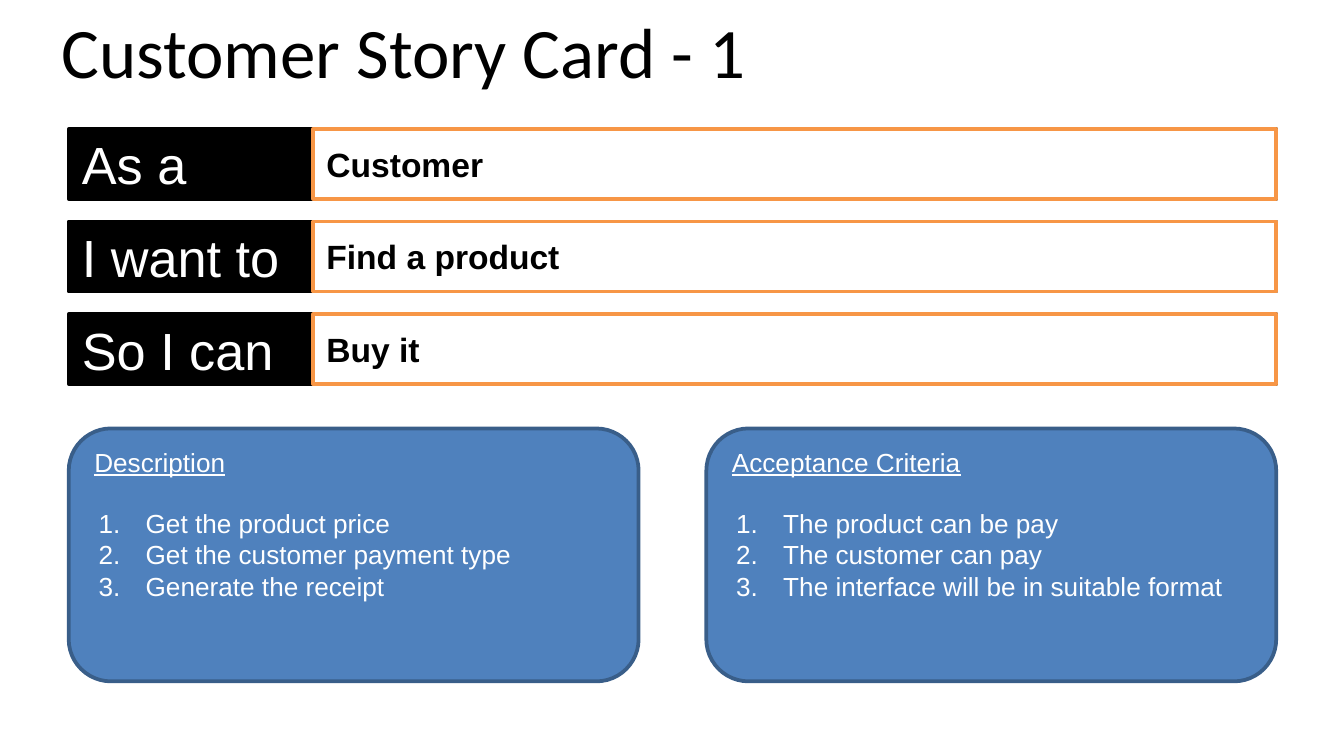
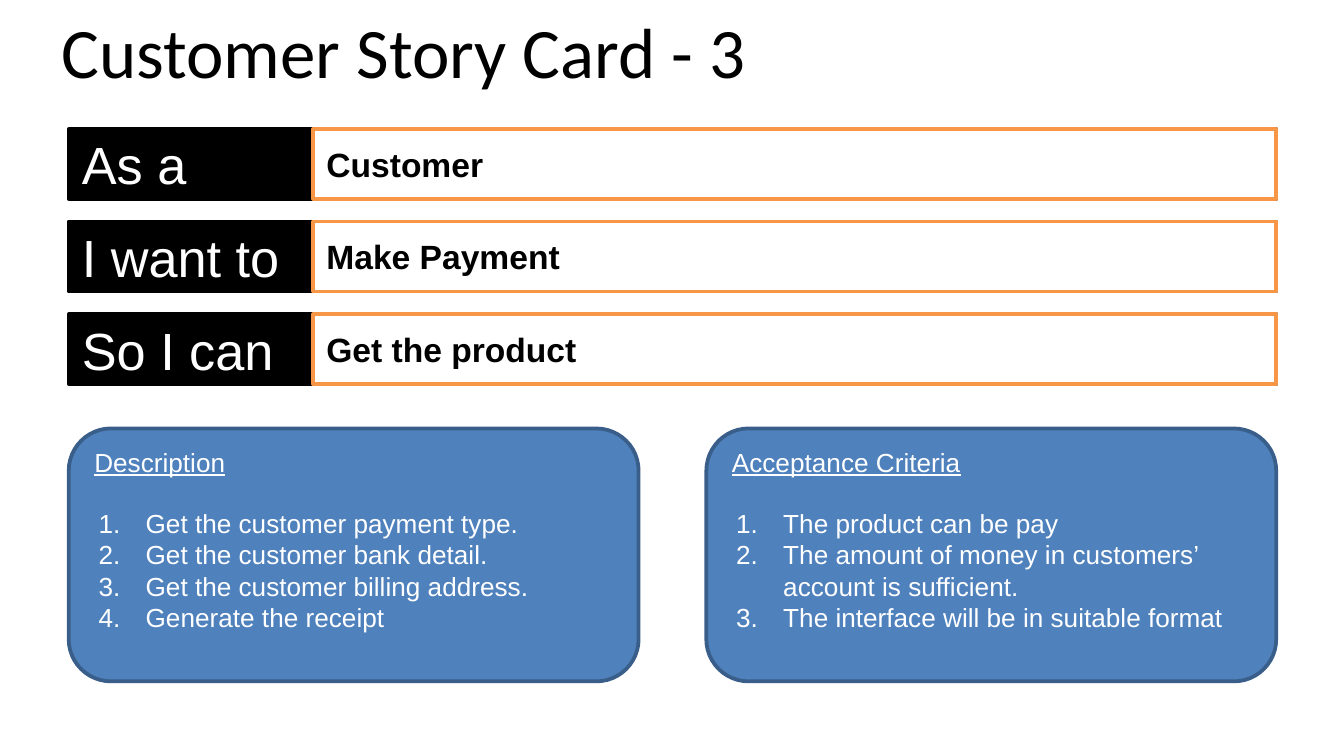
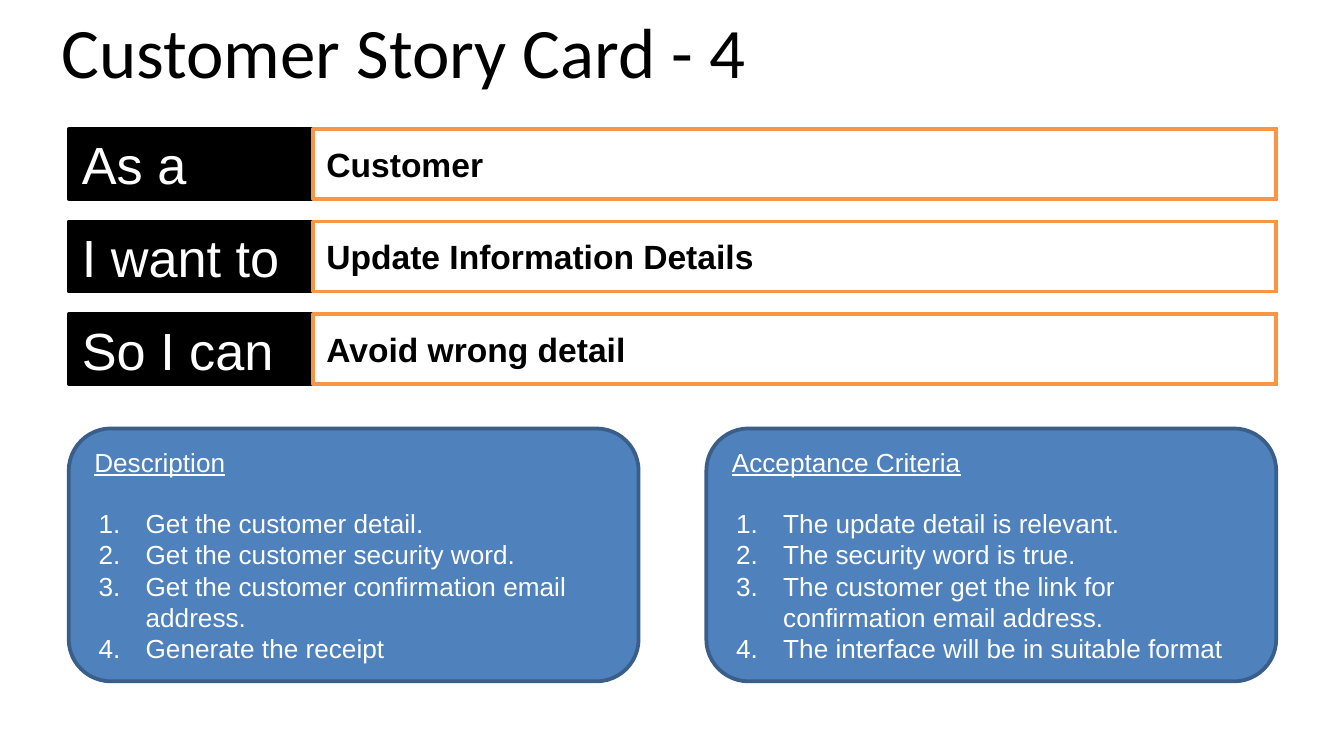
import pptx
import pptx.dml.color
import pptx.enum.shapes
import pptx.enum.text
import pptx.oxml.ns
import pptx.util
from lxml import etree

Cm, Pt = pptx.util.Cm, pptx.util.Pt
Kind = pptx.enum.shapes.MSO_SHAPE
Side = pptx.enum.text.PP_ALIGN
Hold = pptx.enum.text.MSO_ANCHOR

# Content
LABELS = ("As a", "I want to", "So I can")
HEADS = ("Description", "Acceptance Criteria")
CARDS = [
    {
        "title": "Customer Story Card - 1",
        "story": ("Customer", "Find a product", "Buy it"),
        "lists": (
            ["Get the product price",
             "Get the customer payment type",
             "Generate the receipt"],
            ["The product can be pay",
             "The customer can pay",
             "The interface will be in suitable format"],
        ),
    },
    {
        "title": "Customer Story Card - 3",
        "story": ("Customer", "Make Payment", "Get the product"),
        "lists": (
            ["Get the customer payment type.",
             "Get the customer bank detail.",
             "Get the customer billing address.",
             "Generate the receipt"],
            ["The product can be pay",
             "The amount of money in customers’ account is sufficient.",
             "The interface will be in suitable format"],
        ),
    },
    {
        "title": "Customer Story Card - 4",
        "story": ("Customer", "Update Information Details",
                  "Avoid wrong detail"),
        "lists": (
            ["Get the customer detail.",
             "Get the customer security word.",
             "Get the customer confirmation email address.",
             "Generate the receipt"],
            ["The update detail is relevant.",
             "The security word is true.",
             "The customer get the link for confirmation email address.",
             "The interface will be in suitable format"],
        ),
    },
]


# Shared look
class Theme:
    black, white = "000000", "FFFFFF"
    orange, blue, navy = "F79646", "4F81BD", "395E89"
    head, body = "Calibri", "Arial"
    title, label, value, text = 38, 28, 18, 14
    line = 2


# Layout, in centimetres
WIDE, HIGH = 25.4, 14.29
LEFT, RIGHT = 1.3, 24.12
ROW_TOP, ROW_HIGH, ROW_STEP = 2.44, 1.32, 1.75
VALUE_LEFT = 5.92
PANEL_TOP, PANEL_WIDE, PANEL_HIGH = 8.1, 10.77, 4.78


def color(code):
    return pptx.dml.color.RGBColor.from_string(code)


def style(para, size, tint, face=Theme.body, bold=False, under=False):
    for run in para.runs:
        font = run.font
        font.name, font.size = face, Pt(size)
        font.bold, font.underline = bold, under
        font.color.rgb = color(tint)


def add_box(slide, kind, place, fill, line):
    box = slide.shapes.add_shape(kind, *map(Cm, place))
    box.shadow.inherit = False
    box.fill.solid()
    box.fill.fore_color.rgb = color(fill)
    box.line.color.rgb = color(line)
    box.line.width = Pt(Theme.line)
    box.text_frame.word_wrap = True
    return box


def add_title(slide, text):
    title = slide.shapes.title
    title.left, title.top = Cm(0.43), Cm(0.28)
    title.width, title.height = Cm(14.4), Cm(1.32)
    frame = title.text_frame
    frame.text = text
    frame.auto_size = pptx.enum.text.MSO_AUTO_SIZE.NONE
    frame.vertical_anchor = Hold.MIDDLE
    para = frame.paragraphs[0]
    para.alignment = Side.CENTER
    style(para, Theme.title, Theme.black, Theme.head)


def add_bar(slide, row, left, text, fill, line, size, tint, bold=False):
    place = (left, ROW_TOP + row * ROW_STEP, RIGHT - left, ROW_HIGH)
    frame = add_box(slide, Kind.RECTANGLE, place, fill, line).text_frame
    frame.text = text
    frame.vertical_anchor = Hold.MIDDLE
    para = frame.paragraphs[0]
    para.alignment = Side.LEFT
    style(para, size, tint, bold=bold)


def number(para):
    props = para._p.get_or_add_pPr()
    props.set("marL", str(Cm(0.97)))
    props.set("indent", str(Cm(-0.89)))
    for tag, key, val in (("a:buFont", "typeface", Theme.body),
                          ("a:buAutoNum", "type", "arabicPeriod")):
        node = etree.SubElement(props, pptx.oxml.ns.qn(tag))
        node.set(key, val)


def add_panel(slide, left, head, items):
    place = (left, PANEL_TOP, PANEL_WIDE, PANEL_HIGH)
    box = add_box(slide, Kind.ROUNDED_RECTANGLE, place,
                  Theme.blue, Theme.navy)
    frame = box.text_frame
    frame.vertical_anchor = Hold.TOP
    frame.margin_top = Cm(0.1)
    frame.text = "\n".join([head, *items])
    for i, para in enumerate(frame.paragraphs):
        para.alignment = Side.LEFT
        style(para, Theme.text, Theme.white, under=i == 0)
        if i:
            number(para)
        else:
            para.space_after = Pt(16)


def add_card(deck, card):
    slide = deck.slides.add_slide(deck.slide_layouts[5])
    add_title(slide, card["title"])
    # Story rows: black label bar with a white value box on top
    for row, (label, value) in enumerate(zip(LABELS, card["story"])):
        add_bar(slide, row, LEFT, label, Theme.black, Theme.black,
                Theme.label, Theme.white)
        add_bar(slide, row, VALUE_LEFT, value, Theme.white, Theme.orange,
                Theme.value, Theme.black, bold=True)
    # Panels, flush with both margins
    lefts = (LEFT, RIGHT - PANEL_WIDE)
    for left, head, items in zip(lefts, HEADS, card["lists"]):
        add_panel(slide, left, head, items)


def main():
    deck = pptx.Presentation()
    deck.slide_width, deck.slide_height = Cm(WIDE), Cm(HIGH)
    for card in CARDS:
        add_card(deck, card)
    deck.save("out.pptx")


if __name__ == "__main__":
    main()
